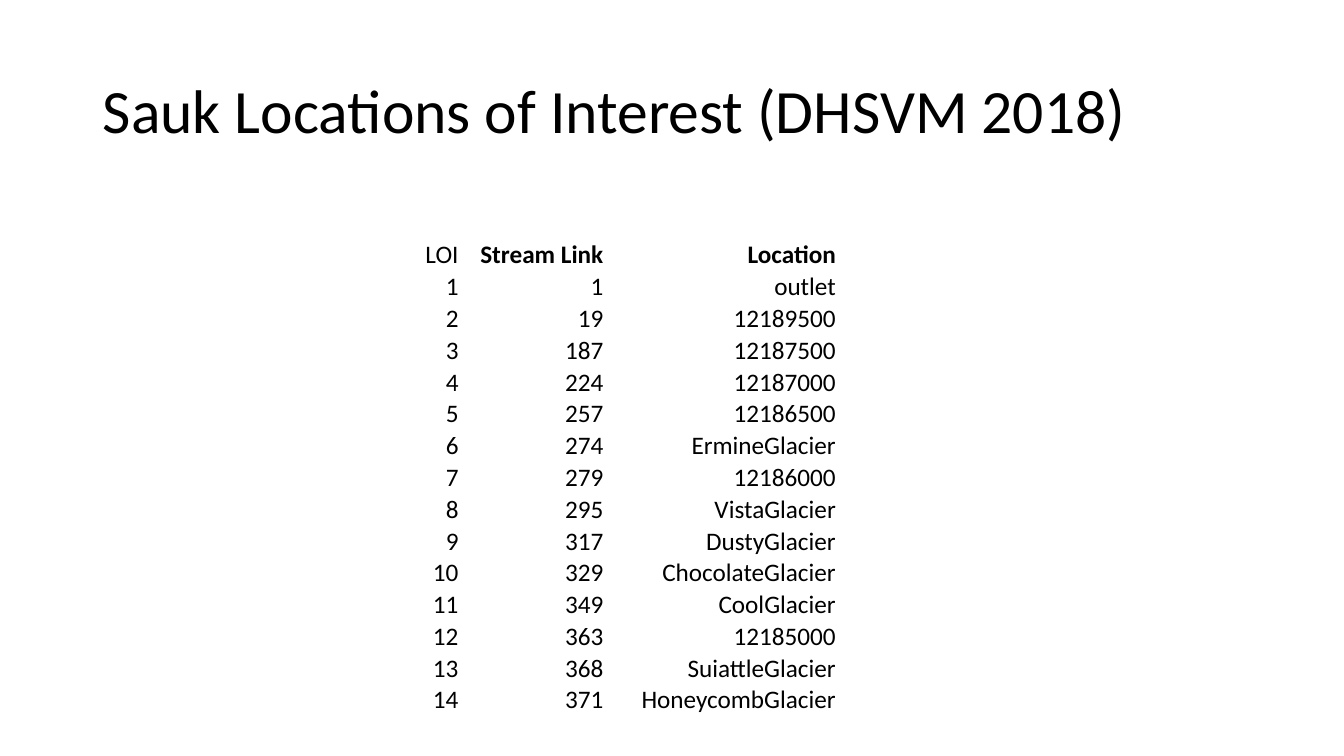
from dataclasses import dataclass

from pptx import Presentation
from pptx.dml.color import RGBColor
from pptx.enum.text import MSO_ANCHOR as Anchor, PP_ALIGN as Align
from pptx.util import Inches, Pt


@dataclass(frozen=True)
class Theme:
    font: str = "Calibri"
    text: RGBColor = RGBColor(0, 0, 0)
    title_size: int = 44
    table_size: int = 18


THEME = Theme()
TITLE = "Sauk Locations of Interest (DHSVM 2018)"
HEADER = ("LOI", "Stream Link", "Location")
BOLD_HEADINGS = HEADER[1:]

# Stream link and location; the LOI number is the position in the list
LOCATIONS = [
    (1, "outlet"),
    (19, "12189500"),
    (187, "12187500"),
    (224, "12187000"),
    (257, "12186500"),
    (274, "ErmineGlacier"),
    (279, "12186000"),
    (295, "VistaGlacier"),
    (317, "DustyGlacier"),
    (329, "ChocolateGlacier"),
    (349, "CoolGlacier"),
    (363, "12185000"),
    (368, "SuiattleGlacier"),
    (371, "HoneycombGlacier"),
]
COLUMN_WIDTHS = (1.17, 1.44, 2.31)
ROW_HEIGHT = 0.27
CELL_INSET = 0.01


def format_paragraph(paragraph, size, align, bold=False):
    paragraph.alignment = align
    font = paragraph.font
    font.name = THEME.font
    font.size = Pt(size)
    font.bold = bold
    font.color.rgb = THEME.text


def place_title(slide, left, top, width, height):
    title = slide.shapes.title
    title.left, title.top = Inches(left), Inches(top)
    title.width, title.height = Inches(width), Inches(height)
    frame = title.text_frame
    frame.text = TITLE
    frame.vertical_anchor = Anchor.MIDDLE
    paragraph = frame.paragraphs[0]
    paragraph.line_spacing = 0.9
    format_paragraph(paragraph, THEME.title_size, Align.LEFT)


def fill_cell(cell, value, bold):
    cell.fill.background()
    cell.vertical_anchor = Anchor.BOTTOM
    cell.margin_left = cell.margin_right = cell.margin_top = Inches(CELL_INSET)
    cell.margin_bottom = 0
    cell.text = str(value)
    format_paragraph(cell.text_frame.paragraphs[0], THEME.table_size, Align.RIGHT, bold)


def place_locations_table(slide, left, top, width, height):
    rows = [HEADER] + [(loi, *entry) for loi, entry in enumerate(LOCATIONS, 1)]
    graphic_frame = slide.shapes.add_table(
        len(rows), len(HEADER), Inches(left), Inches(top), Inches(width), Inches(height)
    )
    table = graphic_frame.table
    table.first_row = table.horz_banding = False
    for column, share in zip(table.columns, COLUMN_WIDTHS):
        column.width = Inches(width * share / sum(COLUMN_WIDTHS))
    for row, values in zip(table.rows, rows):
        row.height = Inches(ROW_HEIGHT)
        for cell, value in zip(row.cells, values):
            fill_cell(cell, value, value in BOLD_HEADINGS)
    # Rows grow to fit their text, so the frame is taller than their sum
    graphic_frame.height = Inches(height)


def main():
    presentation = Presentation()
    presentation.slide_width = Inches(13.33)
    presentation.slide_height = Inches(7.5)
    title_only = presentation.slide_layouts[5]
    slide = presentation.slides.add_slide(title_only)
    place_title(slide, 0.92, 0.4, 11.5, 1.45)
    place_locations_table(slide, 3.39, 2.37, 4.91, 4.66)
    presentation.save("out.pptx")


if __name__ == "__main__":
    main()
